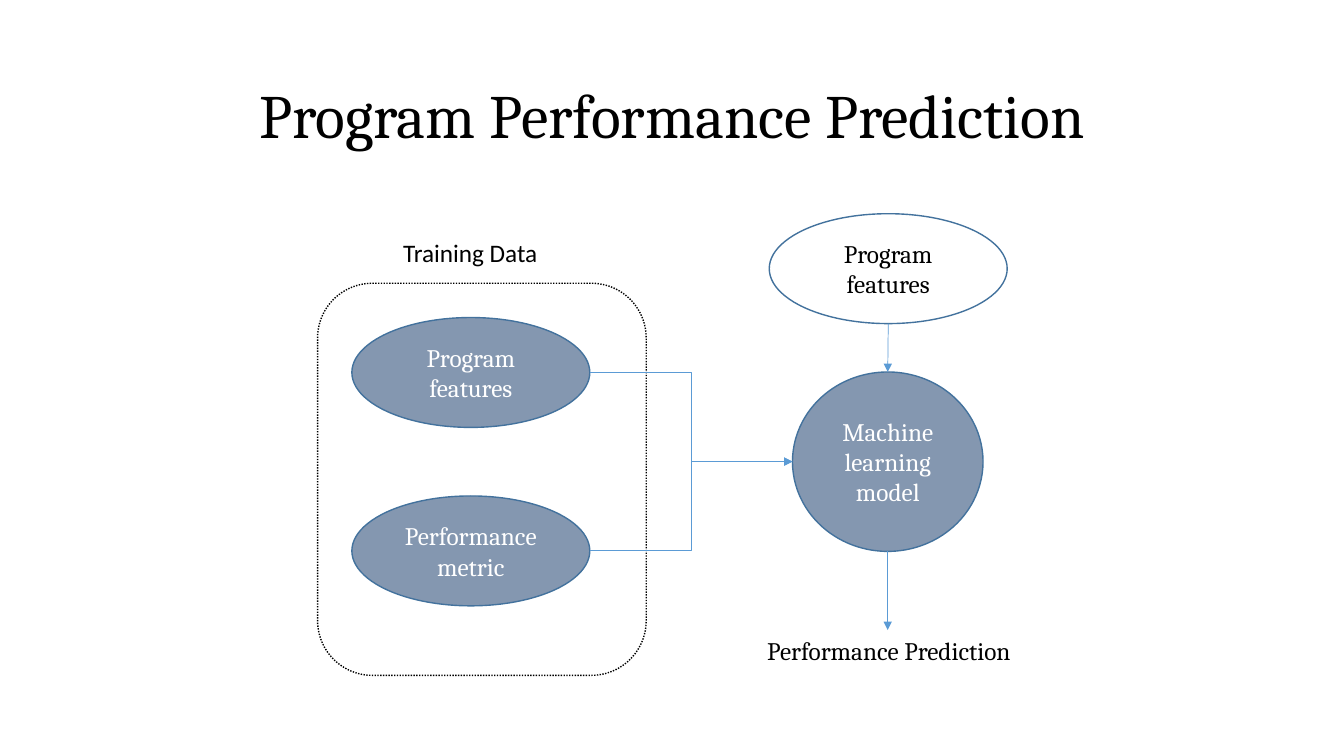
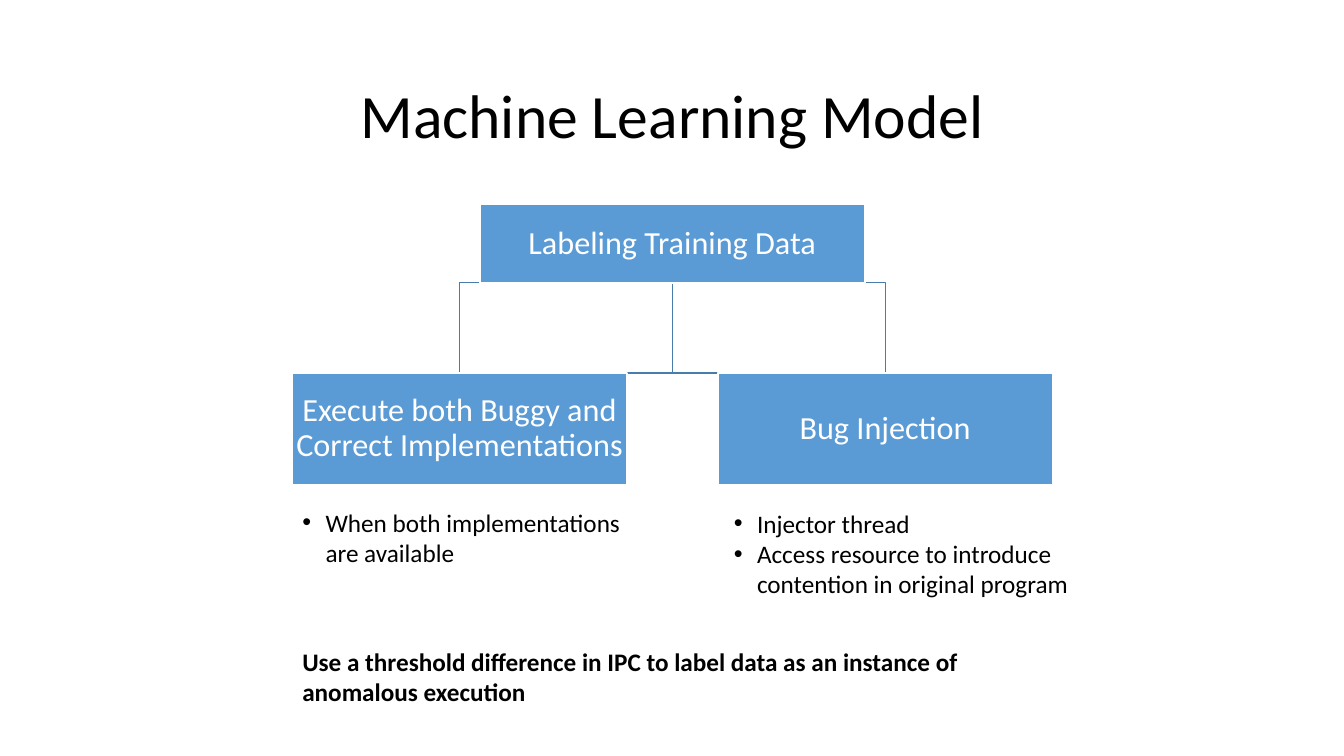
from lxml import etree
from pptx import Presentation
from pptx import util as u
from pptx.dml.color import RGBColor
from pptx.enum import dml, shapes, text
from pptx.oxml.ns import qn

BLACK, WHITE = "000000", "FFFFFF"
SLATE, OUTLINE = "8497B0", "43729D"
BLUE, BRANCH = "5B9BD5", "487CAA"
SERIF, SANS = "Cambria", "Calibri"
CENTER, LEFT = text.PP_ALIGN.CENTER, text.PP_ALIGN.LEFT
MIDDLE, TOP = text.MSO_ANCHOR.MIDDLE, text.MSO_ANCHOR.TOP
SIDES = ("left", "top", "right", "bottom")
TITLE_BOX = (0.92, 0.4, 11.5, 1.45)
OVAL_SIZE = (2.36, 1.09)
BULLET_INDENT = 0.23


def color(value):
    return RGBColor.from_string(value)


def apply(target, values):
    for name, value in values.items():
        setattr(target, name, value)


def write(shape, lines, size=18, font=SANS, ink=BLACK, bold=False, align=LEFT,
          anchor=TOP, insets=(0.1, 0.05, 0.1, 0.05), spacing=1.0, bullets=False):
    frame = shape.text_frame
    apply(frame, {"word_wrap": True, "vertical_anchor": anchor})
    apply(frame, {f"margin_{side}": u.Inches(inset) for side, inset in zip(SIDES, insets)})
    frame.text = "\n".join(lines)
    for paragraph in frame.paragraphs:
        apply(paragraph, {"alignment": align, "line_spacing": spacing})
        apply(paragraph.font, {"size": u.Pt(size), "name": font, "bold": bold})
        paragraph.font.color.rgb = color(ink)
        if bullets:
            add_bullet(paragraph)


def add_bullet(paragraph):
    properties = paragraph._p.get_or_add_pPr()
    indent = u.Inches(BULLET_INDENT)
    properties.set("marL", str(indent))
    properties.set("indent", str(-indent))
    default_run = properties.find(qn("a:defRPr"))
    marks = [etree.Element(qn("a:buFont"), typeface="Arial"),
             etree.Element(qn("a:buChar"), char="•")]
    for mark in marks:
        if default_run is None:
            properties.append(mark)
        else:
            default_run.addprevious(mark)


def add_text(slide, box, lines, **style):
    shape = slide.shapes.add_textbox(*map(u.Inches, box))
    write(shape, lines, **style)
    return shape


def add_outlined(slide, kind, box, line, fill=None):
    shape = slide.shapes.add_shape(kind, *map(u.Inches, box))
    shape.shadow.inherit = False
    if fill:
        shape.fill.solid()
        shape.fill.fore_color.rgb = color(fill)
    else:
        shape.fill.background()
    shape.line.color.rgb = color(line)
    shape.line.width = u.Pt(1)
    return shape


def add_oval(slide, box, label, fill=SLATE, ink=WHITE):
    oval = add_outlined(slide, shapes.MSO_SHAPE.OVAL, box, OUTLINE, fill)
    write(oval, [label], font=SERIF, ink=ink, align=CENTER, anchor=MIDDLE)
    return oval


def add_box(slide, box, label):
    node = add_outlined(slide, shapes.MSO_SHAPE.RECTANGLE, box, WHITE, BLUE)
    write(node, [label], size=23, ink=WHITE, align=CENTER, anchor=MIDDLE,
          insets=(0.02,) * 4, spacing=0.9)


def add_arrow(slide, kind, start, end):
    arrow = slide.shapes.add_connector(kind, *start, *end)
    arrow.line.color.rgb = color(BLUE)
    arrow.line.width = u.Pt(0.5)
    etree.SubElement(arrow.line._get_or_add_ln(), qn("a:tailEnd"), type="triangle")
    etree.SubElement(arrow._element.spPr, qn("a:effectLst"))


def middle(shape, side):
    across = {"left": 0, "right": shape.width}.get(side, shape.width // 2)
    down = {"top": 0, "bottom": shape.height}.get(side, shape.height // 2)
    return shape.left + across, shape.top + down


def add_slide(presentation, title, font):
    slide = presentation.slides.add_slide(presentation.slide_layouts[6])
    add_text(slide, TITLE_BOX, [title], size=44, font=font, align=CENTER, anchor=MIDDLE)
    return slide


def training_data(slide, left, top):
    ovals = [add_oval(slide, (left + 0.34, top + offset, *OVAL_SIZE), label)
             for offset, label in ((0.34, "Program features"), (2.11, "Performance metric"))]
    add_text(slide, (left + 0.75, top - 0.5, 1.81, 0.7), ["Training Data"])
    frame = add_outlined(slide, shapes.MSO_SHAPE.ROUNDED_RECTANGLE,
                         (left, top, 3.26, 3.89), BLACK)
    frame.line.dash_style = dml.MSO_LINE.ROUND_DOT
    return ovals


def prediction_column(slide, left, top):
    features = add_oval(slide, (left, top, *OVAL_SIZE), "Program features", WHITE, BLACK)
    model = add_oval(slide, (left + 0.23, top + 1.57, 1.89, 1.78), "Machine learning model")
    result = (left - 0.12, top + 4.13, 2.8, 0.4)
    add_text(slide, result, ["Performance Prediction"], font=SERIF)
    straight = shapes.MSO_CONNECTOR.STRAIGHT
    add_arrow(slide, straight, middle(features, "bottom"), middle(model, "top"))
    bottom = middle(model, "bottom")
    add_arrow(slide, straight, bottom, (bottom[0], u.Inches(result[1])))
    return model


def performance_prediction(presentation):
    slide = add_slide(presentation, "Program Performance Prediction", SERIF)
    inputs = training_data(slide, 3.15, 2.81)
    model = prediction_column(slide, 7.63, 2.12)
    for source in inputs:
        add_arrow(slide, shapes.MSO_CONNECTOR.ELBOW,
                  middle(source, "right"), middle(model, "left"))


def labeling_tree(slide, left, top):
    child_width, child_step, root_width = 3.32, 4.22, 3.82
    center = left + (child_width + child_step) / 2
    half = child_step / 2
    for branch_left in (center, center - half):
        add_outlined(slide, shapes.MSO_SHAPE.RECTANGLE,
                     (branch_left, top + 0.77, half, 0.9), BRANCH)
    add_box(slide, (center - root_width / 2, top, root_width, 0.78), "Labeling Training Data")
    labels = ("Execute both Buggy and Correct Implementations", "Bug Injection")
    for index, label in enumerate(labels):
        add_box(slide, (left + index * child_step, top + 1.67, child_width, 1.11), label)


def labeling_notes(slide, left, top):
    add_text(slide, (left, top, 3.48, 1), ["When both implementations are available"],
             bullets=True)
    add_text(slide, (left + 4.28, top + 0.01, 3.72, 1.3),
             ["Injector thread", "Access resource to introduce contention in original program"],
             bullets=True)
    add_text(slide, (left, top + 1.38, 6.86, 0.7),
             ["Use a threshold difference in IPC to label data as an instance of "
              "anomalous execution"], bold=True)


def machine_learning_model(presentation):
    slide = add_slide(presentation, "Machine Learning Model", SANS)
    labeling_tree(slide, 2.9, 2.03)
    labeling_notes(slide, 2.9, 4.98)


def main():
    presentation = Presentation()
    apply(presentation, {"slide_width": u.Inches(13.33), "slide_height": u.Inches(7.5)})
    performance_prediction(presentation)
    machine_learning_model(presentation)
    presentation.save("out.pptx")


if __name__ == "__main__":
    main()
